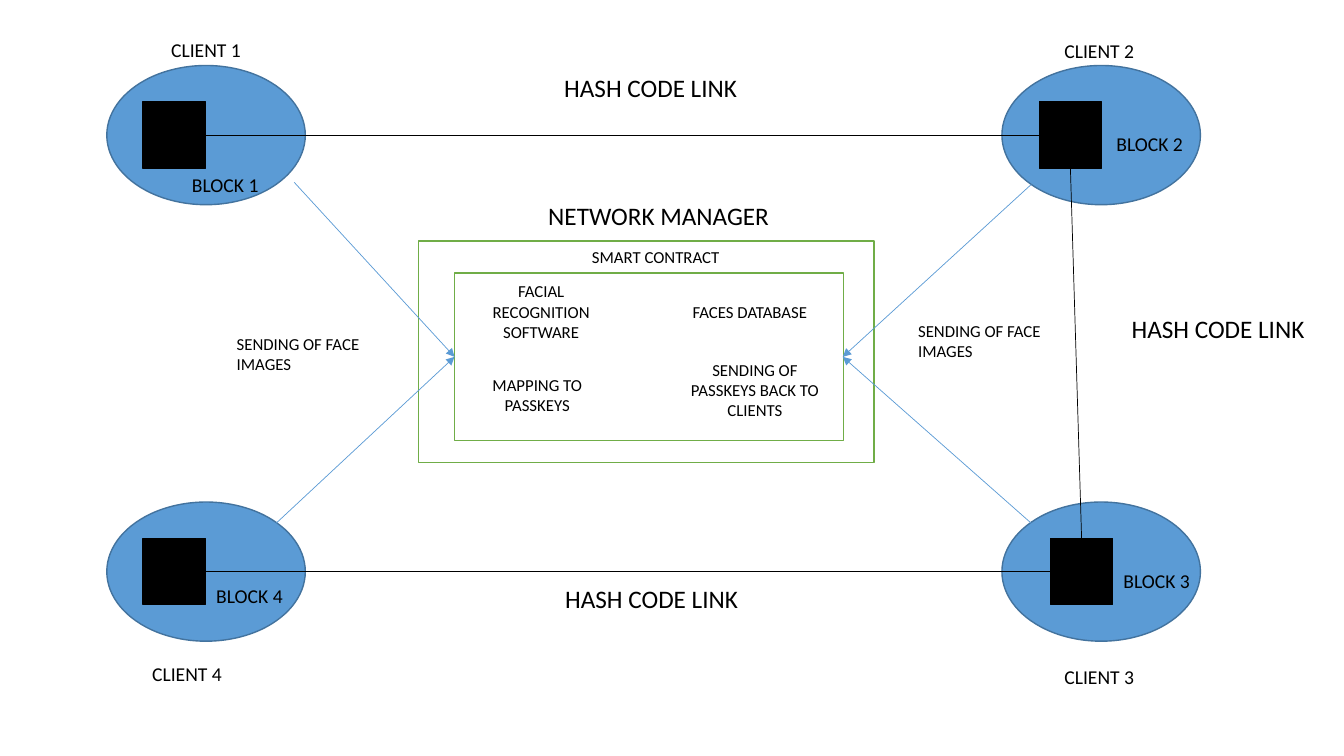
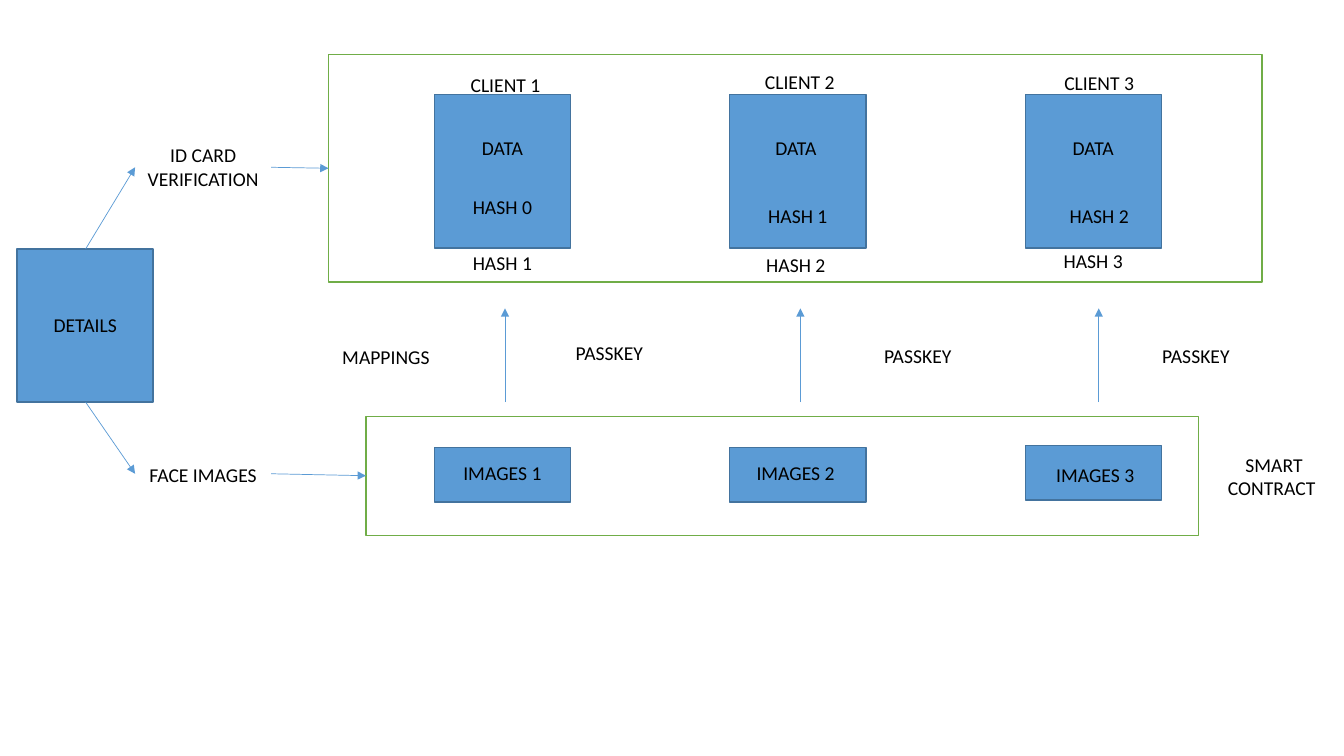
from dataclasses import dataclass
from itertools import product
from pptx import Presentation
from pptx.dml.color import RGBColor as RGB
from pptx.enum.shapes import MSO_CONNECTOR as CONN, MSO_SHAPE as SHAPE
from pptx.enum.text import MSO_AUTO_SIZE as FIT, PP_ALIGN as ALIGN
from pptx.oxml.ns import qn
from pptx.util import Pt
from lxml.etree import SubElement


@dataclass(frozen=True)
class Theme:
    font: str = "Calibri"
    black: str = "000000"
    white: str = "FFFFFF"
    blue: str = "5B9BD5"
    navy: str = "43739E"
    green: str = "70AD47"
    small: int = 12
    body: int = 14
    large: int = 18
    edge: float = 1
    wire: float = 0.5


class Deck:
    """Holds the theme and the current slide."""

    def __init__(self, theme):
        self.t = theme
        self.prs = Presentation()
        self.prs.slide_width, self.prs.slide_height = Pt(960), Pt(540)

    def new_slide(self):
        self.s = self.prs.slides.add_slide(self.prs.slide_layouts[6])

    def shape(self, x, y, w, h, fill, line, kind=SHAPE.RECTANGLE):
        sp = self.s.shapes.add_shape(kind, Pt(x), Pt(y), Pt(w), Pt(h))
        sp.shadow.inherit = False
        sp.fill.solid()
        sp.fill.fore_color.rgb = RGB.from_string(fill)
        sp.line.color.rgb = RGB.from_string(line)
        sp.line.width = Pt(self.t.edge)

    def node(self, x, y, w, h, kind=SHAPE.RECTANGLE):
        self.shape(x, y, w, h, self.t.blue, self.t.navy, kind)

    def frame(self, x, y, w, h):
        self.shape(x, y, w, h, self.t.white, self.t.green)

    def text(self, x, y, w, words, size=None, lines=1, align=ALIGN.CENTER):
        size = size or self.t.body
        h = lines * size * 1.22 + 7.2
        tf = self.s.shapes.add_textbox(Pt(x), Pt(y), Pt(w), Pt(h)).text_frame
        tf.word_wrap, tf.auto_size = True, FIT.SHAPE_TO_FIT_TEXT
        p = tf.paragraphs[0]
        p.alignment = align
        r = p.add_run()
        r.text = words
        for name, value in {"name": self.t.font, "size": Pt(size)}.items():
            setattr(r.font, name, value)
        r.font.color.rgb = RGB.from_string(self.t.black)

    def line(self, start, end, color=None, head=False):
        c = self.s.shapes.add_connector(CONN.STRAIGHT, *map(Pt, start + end))
        c.line.color.rgb = RGB.from_string(color or self.t.black)
        c.line.width = Pt(self.t.wire)
        props = c.element.spPr
        if head:
            SubElement(props.find(qn("a:ln")), qn("a:tailEnd"), type="triangle")
        SubElement(props, qn("a:effectLst"))

    def arrow(self, start, end):
        self.line(start, end, self.t.blue, head=True)


t = Theme()
d = Deck(t)

# Slide 1: clients around the network manager
d.new_slide()
d.frame(298.8, 172.1, 325.4, 158.4)
for y, x in product((46.8, 358.6), (76.3, 715.7)):
    d.node(x, y, 141.8, 99.4, SHAPE.OVAL)
for x, y in ((102.2, 72.7), (102.2, 384.5), (742.3, 72.7), (750.2, 384.5)):
    d.shape(x, y, 44.6, 47.5, t.black, t.black)
d.frame(324.7, 195.1, 277.9, 119.5)

# Hash code links between blocks
for start, end in (((146.9, 96.5), (742.3, 96.5)),
                   ((764.6, 120.2), (772.6, 384.5)),
                   ((750.2, 408.2), (146.9, 408.2))):
    d.line(start, end)
for x, y in ((359.3, 48.2), (764.6, 220.3), (360, 413.3)):
    d.text(x, y, 211, "HASH CODE LINK", t.large)

# Client and block labels
clients = (98.6, 23.8), (736.6, 24.5), (736.6, 471.6), (85, 469.4)
blocks = (112.3, 120.2), (772.6, 90.7), (777.6, 402.5), (129.6, 413.3)
for n, (client, block) in enumerate(zip(clients, blocks), 1):
    d.text(*client, 97.2, f"CLIENT {n}")
    d.text(*block, 97.2, f"BLOCK {n}")

# Face images sent to the contract
left, right = (324.7, 254.9), (602, 254.9)
for start, end in (((210.2, 130.3), left), ((197.3, 373.7), left),
                   ((736.6, 131.8), right), ((736.6, 373.7), right)):
    d.arrow(start, end)
for x, y in ((162, 234.7), (648.7, 225.4)):
    d.text(x, y, 120.2, "SENDING OF FACE IMAGES", t.small, 2, ALIGN.LEFT)

# Manager and contract contents
d.text(365, 139.7, 211, "NETWORK MANAGER", t.large)
d.text(362.9, 172.8, 211, "SMART CONTRACT", t.small)
for x, y, words, lines in (
        (332.6, 197.3, "FACIAL RECOGNITION SOFTWARE", 3),
        (481.7, 211.7, "FACES DATABASE", 1),
        (329.8, 264.2, "MAPPING TO PASSKEYS", 2),
        (485.3, 253.4, "SENDING OF PASSKEYS BACK TO CLIENTS", 3)):
    d.text(x, y, 108, words, t.small, lines)

# Slide 2: details flow into client blocks and images
d.new_slide()
d.frame(234.7, 38.9, 666.7, 162.7)
d.frame(261.4, 297.4, 594.7, 85)
for i, image_y in enumerate((319.7, 319.7, 318.2)):
    x = 310.3 + 211 * i
    d.node(x, 67.7, 97.2, 109.4)
    d.node(x, image_y, 97.2, 38.9)

# Labels of the three columns
columns = (
    (("CLIENT 1", 324, 48.2), ("DATA", 321.8, 93.6), ("HASH 0", 321.8, 135.4),
     ("HASH 1", 321.8, 175.7), ("IMAGES 1", 321.8, 325.4),
     ("PASSKEY", 398.2, 239.8)),
    (("CLIENT 2", 534.2, 46.1), ("DATA", 531.4, 93.6), ("HASH 1", 532.8, 141.8),
     ("HASH 2", 531.4, 177.1), ("IMAGES 2 ", 532.8, 325.4),
     ("PASSKEY", 618.5, 241.9)),
    (("CLIENT 3", 748.1, 46.8), ("DATA", 743.8, 93.6), ("HASH 2", 748.1, 141.8),
     ("HASH 3", 743.8, 174.2), ("IMAGES 3", 745.2, 326.9),
     ("PASSKEY", 817.2, 241.9)),
)
for labels, arrow_x in zip(columns, (360.7, 571.7, 784.8)):
    for words, x, y in labels:
        d.text(x, y, 74.2, words)
    d.arrow((arrow_x, 287.3), (arrow_x, 220.3))

# Details and the two paths from it
d.node(12.2, 177.8, 97.2, 109.4)
d.text(23.8, 220.3, 74.2, "DETAILS")
d.text(96.5, 98.6, 97.2, "ID CARD VERIFICATION", lines=2)
d.text(96.5, 326.9, 97.2, "FACE IMAGES")
d.text(234.7, 242.6, 82.1, "MAPPINGS")
d.text(869, 319.7, 82.1, "SMART CONTRACT ", lines=2)
for start, end in (((61.2, 177.8), (96.5, 119.5)),
                   ((61.2, 287.3), (96.5, 338.4)),
                   ((193.7, 119.5), (234.7, 120.2)),
                   ((193.7, 338.4), (261.4, 339.8))):
    d.arrow(start, end)

d.prs.save("out.pptx")
